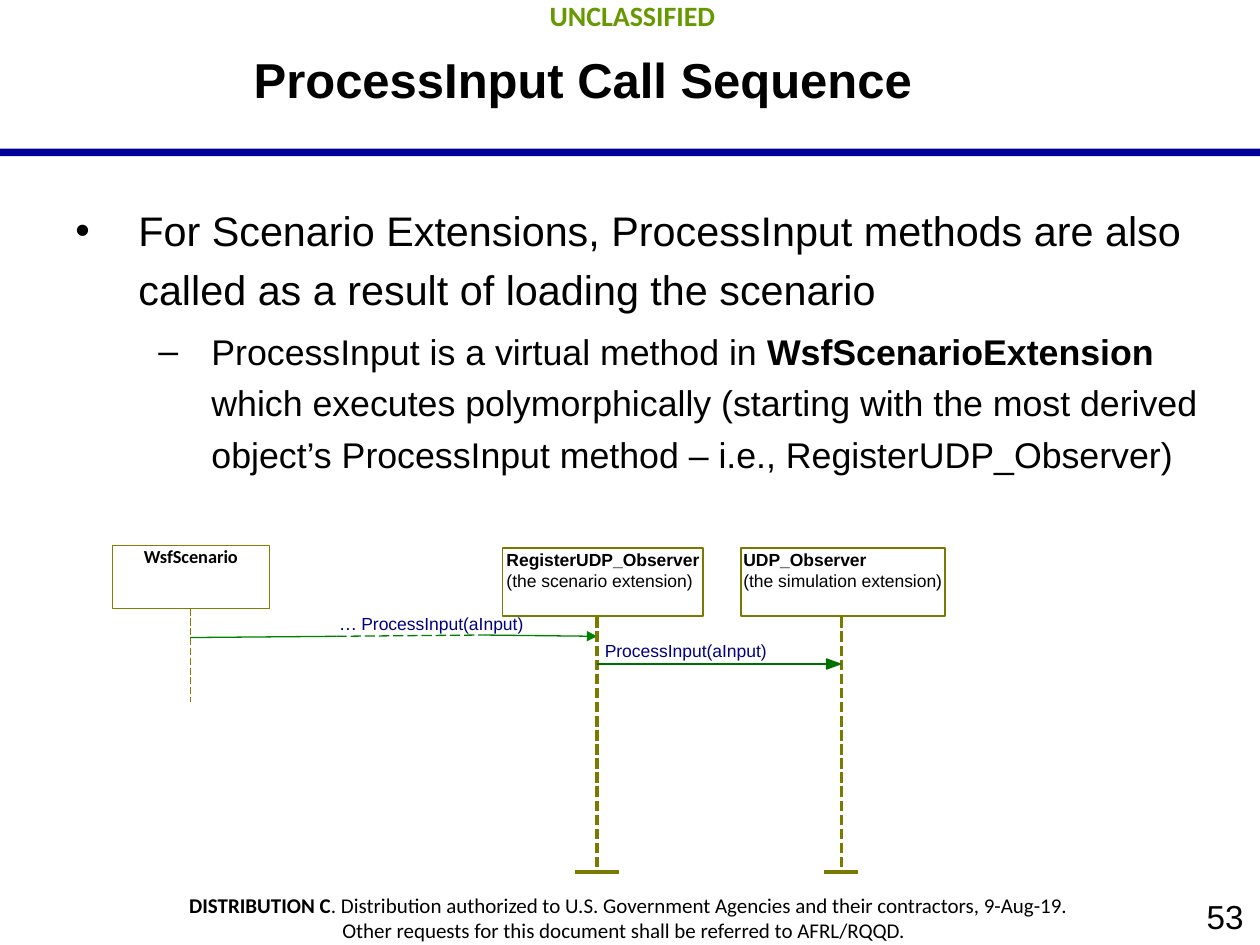
from lxml.etree import SubElement
from pptx import Presentation
from pptx.dml.color import RGBColor
from pptx.enum.dml import MSO_LINE
from pptx.enum.shapes import MSO_CONNECTOR, MSO_SHAPE
from pptx.enum.text import MSO_ANCHOR, PP_ALIGN
from pptx.oxml.ns import qn
from pptx.util import Inches, Pt

BLACK = RGBColor(0, 0, 0)
WHITE = RGBColor(255, 255, 255)
BLUE = RGBColor(0, 0, 0x99)
NAVY = RGBColor(0, 0, 0x80)
LIME = RGBColor(0x66, 0x99, 0)
OLIVE = RGBColor(0x80, 0x80, 0)
MOSS = RGBColor(0x79, 0x7A, 0)
GREEN = RGBColor(0, 0x80, 0)
PINE = RGBColor(0, 0x70, 0)

LEFT, MID, RIGHT = PP_ALIGN.LEFT, PP_ALIGN.CENTER, PP_ALIGN.RIGHT
WIDE = (0.13, 0.07, 0.13, 0.07)
NORMAL = (0.1, 0.05, 0.1, 0.05)
NONE = (0, 0, 0, 0)
TOP, FOOT = 4.9, 6.92

TITLE = [[("ProcessInput Call Sequence", 28, True)]]
BODY = [
    [("For Scenario Extensions, ProcessInput methods are also called as a result of loading the scenario", 23.6, False)],
    [("ProcessInput is a virtual method in ", 20.4, False),
     ("WsfScenarioExtension", 20.4, True),
     (" which executes polymorphically (starting with the most derived object’s ProcessInput method – i.e., RegisterUDP_Observer)", 20.4, False)],
]
BULLETS = [("•", 0.5, -0.5), ("–", 1.08, -0.42)]
MARK = [[("UNCLASSIFIED", 16, True)]]
NOTICE = [
    [("DISTRIBUTION C", 12, True),
     (". Distribution authorized to U.S. Government Agencies and their contractors,\u00a09-Aug-19.", 12, False)],
    [("Other requests for this document shall be referred to AFRL/RQQD.\u00a0 ", 12, False)],
]
NUMBER = [[("53", 19, False)]]
SOURCE = [[("WsfScenario", 10.5, True)]]
CALLS = [
    ((2.59, 4.81, 1.68, 0.28), NORMAL,
     [[("…", 10.5, False), (" ", 9, False), ("ProcessInput(aInput)", 10, False)]]),
    ((4.8, 5.08, 1.31, 0.19), NONE, [[("ProcessInput(aInput)", 10, False)]]),
]
ACTORS = [
    ("RegisterUDP_Observer", "(the scenario extension)", 3.99, 1.59, 0.03, 4.74, 4.56, 4.91),
    ("UDP_Observer", "(the simulation extension)", 5.88, 1.62, 0.02, 6.68, 6.54, 6.81),
]
STEPS = [
    ((1.51, 4.83), (1.51, 5.57), OLIVE, 0.5, MSO_LINE.LONG_DASH, False),
    ((1.51, 5.06), (2.67, 5.05), GREEN, 0.75, None, False),
    ((2.67, 5.05), (3.83, 5.04), GREEN, 0.75, MSO_LINE.LONG_DASH, False),
    ((3.83, 5.04), (4.74, 5.05), GREEN, 0.75, None, True),
]
HEAD = [(6.67, 5.27), (6.56, 5.23), (6.56, 5.31)]


def write(frame, paras, font="Arial", color=BLACK, align=LEFT, pad=NORMAL, wrap=True, anchor=MSO_ANCHOR.TOP):
    frame.word_wrap = wrap
    frame.vertical_anchor = anchor
    frame.margin_left, frame.margin_top, frame.margin_right, frame.margin_bottom = map(Inches, pad)
    for i, runs in enumerate(paras):
        para = frame.add_paragraph() if i else frame.paragraphs[0]
        para.alignment = align
        for text, size, bold in runs:
            run = para.add_run()
            run.text = text
            run.font.name = font
            run.font.size = Pt(size)
            run.font.bold = bold
            run.font.color.rgb = color


def label(box, paras, **style):
    frame = slide.shapes.add_textbox(*map(Inches, box)).text_frame
    write(frame, paras, **style)
    return frame


def paint(shape, fill=None, line=None, width=0):
    shape.shadow.inherit = False
    if fill is None:
        shape.fill.background()
    else:
        shape.fill.solid()
        shape.fill.fore_color.rgb = fill
    if line is None:
        shape.line.fill.background()
    else:
        shape.line.color.rgb = line
        shape.line.width = Pt(width)


def block(box, **look):
    shape = slide.shapes.add_shape(MSO_SHAPE.RECTANGLE, *map(Inches, box))
    paint(shape, **look)
    return shape


def rule(start, end, color, width=0, dash=None, arrow=False):
    line = slide.shapes.add_connector(MSO_CONNECTOR.STRAIGHT, *map(Inches, start + end))
    line.line.color.rgb = color
    line.line.width = Pt(width)
    if dash:
        line.line.dash_style = dash
    if arrow:
        SubElement(line.line._get_or_add_ln(), qn("a:tailEnd"), type="triangle")
    SubElement(line._element.spPr, qn("a:effectLst"))


deck = Presentation()
deck.slide_width, deck.slide_height = Inches(10), Inches(7.5)
slide = deck.slides.add_slide(deck.slide_layouts[5])

block((0, 1.18, 10, 0.06), fill=BLUE)
label((8, 7.05, 2, 0.45), NUMBER, align=RIGHT, pad=WIDE, anchor=MSO_ANCHOR.MIDDLE)
label((0.02, -0.08, 10, 0.4), MARK, font="Calibri", color=LIME, align=MID, pad=WIDE)
label((-0.02, 7.01, 10.02, 0.54), NOTICE, font="Calibri", align=MID, pad=WIDE)

title = slide.shapes.title
title.left, title.top, title.width, title.height = map(Inches, (1, 0, 7.25, 1.25))
write(title.text_frame, TITLE, align=MID, pad=WIDE, anchor=MSO_ANCHOR.MIDDLE)

body = label((0.5, 1.5, 9.17, 2.33), BODY)
for level, (para, (sign, margin, indent)) in enumerate(zip(body.paragraphs, BULLETS)):
    para.level = level
    para.line_spacing = 1.2
    para.space_before = Pt(round(para.runs[0].font.size.pt * 0.2, 1))
    props = para._p.get_or_add_pPr()
    props.set("marL", str(Inches(margin)))
    props.set("indent", str(Inches(indent)))
    SubElement(props, qn("a:buFont"), typeface="Arial")
    SubElement(props, qn("a:buChar"), char=sign)

source = block((0.89, 4.33, 1.25, 0.5), line=OLIVE, width=0.5)
write(source.text_frame, SOURCE, font="Calibri", align=MID, pad=(0.1, 0, 0.1, 0.05))
for step in STEPS:
    rule(*step)

for name, role, left, width, inset, axis, start, end in ACTORS:
    rule((axis, TOP), (axis, FOOT), MOSS, dash=MSO_LINE.SQUARE_DOT)
    block((left, 4.35, width, 0.54), fill=WHITE, line=MOSS)
    rule((start, FOOT), (end, FOOT), MOSS)
    label((left + inset, 4.36, width - inset, 0.34),
          [[(name, 10, True)], [(role, 10, False)]], pad=NONE, wrap=False)

rule((4.74, 5.27), HEAD[0], PINE, 0.75)
pen = slide.shapes.build_freeform(*map(Inches, HEAD[0]))
pen.add_line_segments([tuple(map(Inches, spot)) for spot in HEAD[1:]], close=True)
paint(pen.convert_to_shape(), fill=PINE, line=PINE, width=0.75)
for box, pad, paras in CALLS:
    label(box, paras, color=NAVY, pad=pad, wrap=False)

deck.save("out.pptx")
